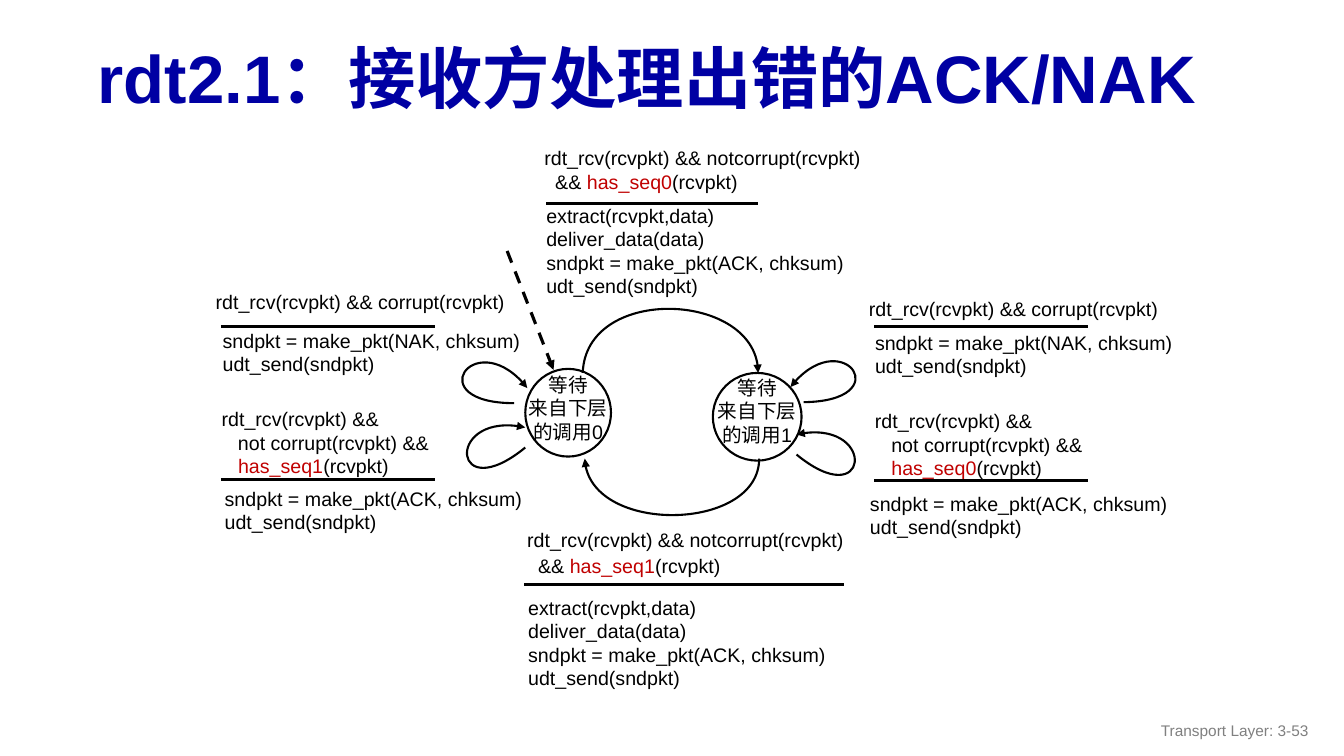
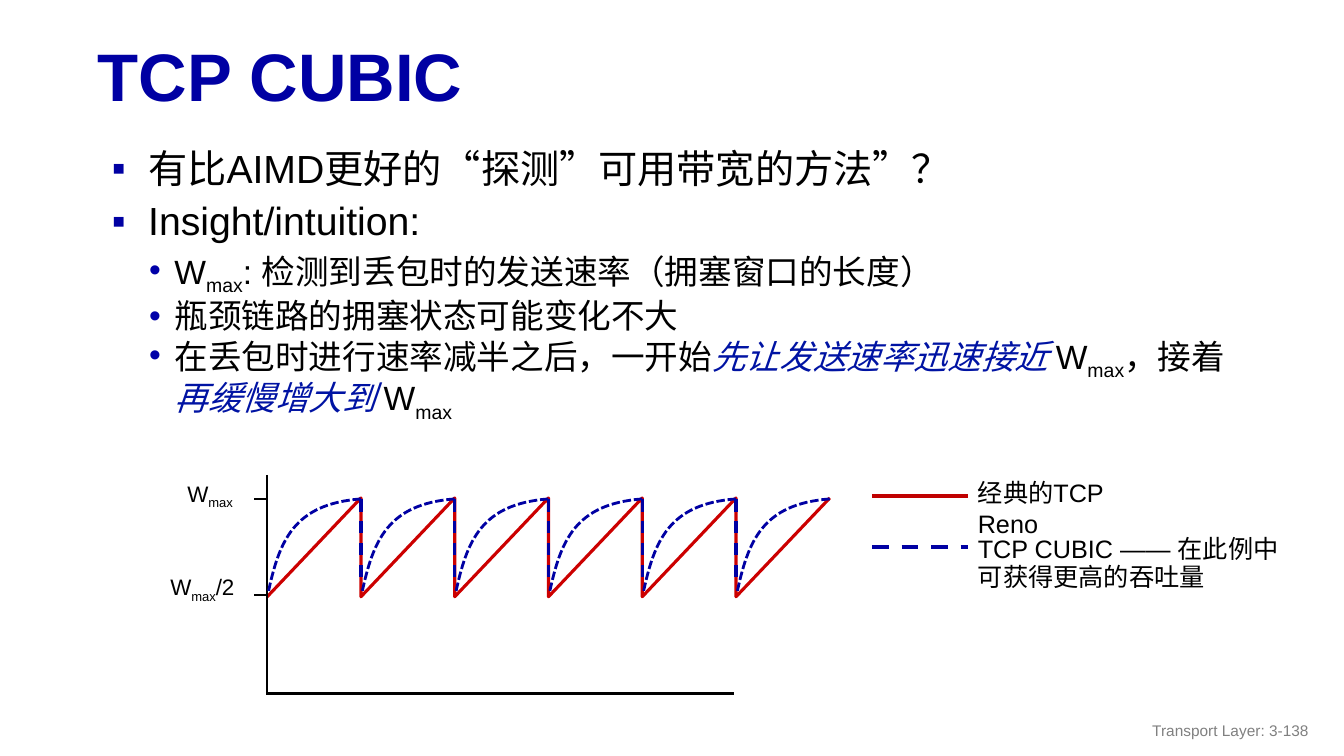
from dataclasses import dataclass
from math import cos, radians, sin
from typing import NamedTuple, Optional

from lxml.etree import SubElement
from pptx import Presentation
from pptx.dml.color import RGBColor
from pptx.enum.dml import MSO_LINE
from pptx.enum.shapes import MSO_CONNECTOR, MSO_SHAPE
from pptx.enum.text import MSO_ANCHOR, MSO_AUTO_SIZE, PP_ALIGN
from pptx.oxml.ns import qn
from pptx.util import Inches, Pt

FONT = "Arial"
BLACK, WHITE, GRAY = "000000", "FFFFFF", "808080"
NAVY, BULLET_BLUE, ACCENT_BLUE = "0000A3", "0000A8", "0013A3"
DARK_RED, CURVE_RED = "C00000", "CC0000"


class Box(NamedTuple):
    left: float
    top: float
    width: float
    height: float


class Run(NamedTuple):
    text: str
    color: str = BLACK
    italic: bool = False
    subscript: bool = False


class Bullet(NamedTuple):
    runs: list
    level: int = 0
    space_before: float = 0


class BulletStyle(NamedTuple):
    character: str
    color: str
    size: float
    margin: float
    hanging: float


@dataclass
class Transition:
    """One arc of the state machine with its event and actions."""
    event: str
    event_box: Box
    rule: tuple
    actions: str
    action_box: Box
    arc: tuple
    arc_box: Optional[Box] = None
    rotation: float = 0
    arrow: str = "tailEnd"
    line_gap: float = 0


BULLET_STYLES = (BulletStyle("▪", NAVY, 28, 0.5, 0.36), BulletStyle("•", BULLET_BLUE, 24, 0.76, 0.25))
MAXIMUM = [Run("W"), Run("max", subscript=True)]
CORRUPT = "rdt_rcv(rcvpkt) && corrupt(rcvpkt)"
ACCEPTED = "rdt_rcv(rcvpkt) && notcorrupt(rcvpkt)\n  && |has_seq{}|(rcvpkt)"
DUPLICATE = "rdt_rcv(rcvpkt) &&\n   not corrupt(rcvpkt) &&\n   |has_seq{}|(rcvpkt)"
REPLY = "sndpkt = make_pkt({}, chksum)\nudt_send(sndpkt)"
ACK, NAK = REPLY.format("ACK"), REPLY.format("NAK")
DELIVER = "extract(rcvpkt,data)\ndeliver_data(data)\n" + ACK


def rgb(color: str) -> RGBColor:
    """Turn a hex string into a colour."""
    return RGBColor.from_string(color)


def code_lines(text: str) -> list:
    """Split code into lines of runs, with the parts between bars in red."""
    return [[Run(part, DARK_RED if index % 2 else BLACK) for index, part in enumerate(line.split("|"))]
            for line in text.split("\n")]


def add_run(paragraph, text: str, *, size: float, color: str = BLACK, bold: bool = False,
            italic: bool = False, subscript: bool = False) -> None:
    """Add formatted text to a paragraph."""
    run = paragraph.add_run()
    run.text = text
    font = run.font
    font.name, font.size, font.bold, font.italic = FONT, Pt(size), bold, italic
    font.color.rgb = rgb(color)
    if subscript:
        run._r.get_or_add_rPr().set("baseline", "-25000")


def add_text(slide, box: Box, lines: list, *, size: float, align=PP_ALIGN.LEFT, wrap: bool = True,
             anchor=MSO_ANCHOR.TOP, line_spacing: float = 1.0, gap: float = 0) -> None:
    """Add a text box with one paragraph for each list of runs."""
    frame = slide.shapes.add_textbox(*map(Inches, box)).text_frame
    frame.word_wrap, frame.vertical_anchor = wrap, anchor
    for index, runs in enumerate(lines):
        paragraph = frame.add_paragraph() if index else frame.paragraphs[0]
        paragraph.alignment, paragraph.line_spacing = align, line_spacing
        paragraph.space_before = Pt(gap if index else 0)
        for run in runs:
            add_run(paragraph, size=size, **run._asdict())


def style_line(shape, color: str, width: float, dash=None, arrow: str = "") -> None:
    """Set colour, width, dash and arrowhead of a line."""
    shape.line.color.rgb, shape.line.width = rgb(color), Pt(width)
    if dash is not None:
        shape.line.dash_style = dash
    if arrow:
        SubElement(shape.line._get_or_add_ln(), qn(f"a:{arrow}"), type="triangle")


def add_line(slide, start: tuple, end: tuple, color: str = BLACK, width: float = 1.5,
             dash=None, arrow: str = "") -> None:
    """Add a straight connector without shadow."""
    connector = slide.shapes.add_connector(MSO_CONNECTOR.STRAIGHT, *map(Inches, (*start, *end)))
    style_line(connector, color, width, dash, arrow)
    SubElement(connector._element.spPr, qn("a:effectLst"))


def add_outline(slide, points: list, color: str, width: float, dash=None, arrow: str = ""):
    """Add an open outline through the points."""
    corners = [(Inches(x), Inches(y)) for x, y in points]
    builder = slide.shapes.build_freeform(*corners[0])
    builder.add_line_segments(corners[1:], close=False)
    shape = builder.convert_to_shape()
    shape.shadow.inherit = False
    shape.fill.background()
    style_line(shape, color, width, dash, arrow)
    return shape


def add_curve(slide, controls: tuple, color: str = BLACK, width: float = 1.5, dash=None,
              arrow: str = "", box: Optional[Box] = None, rotation: float = 0) -> None:
    """Add a cubic Bezier curve whose frame may be rotated."""
    if box is None:
        left, top = map(min, zip(*controls))
        right, bottom = map(max, zip(*controls))
        box = Box(left, top, right - left, bottom - top)
    diagonal = [box[:2], (box.left + box.width, box.top + box.height)]
    shape = add_outline(slide, diagonal, color, width, dash, arrow)
    shape.rotation = rotation
    outline = next(shape._element.iter(qn("a:path")))
    for child in list(outline):
        outline.remove(child)
    move, curve = SubElement(outline, qn("a:moveTo")), SubElement(outline, qn("a:cubicBezTo"))
    cosine, sine = cos(radians(rotation)), sin(radians(rotation))
    for index, (x, y) in enumerate(controls):
        across, down = x - box.left - box.width / 2, y - box.top - box.height / 2
        local_x = across * cosine + down * sine + box.width / 2
        local_y = down * cosine - across * sine + box.height / 2
        SubElement(curve if index else move, qn("a:pt"), x=str(Inches(local_x)), y=str(Inches(local_y)))


def add_slide(presentation, layout: int, title: str, title_box: Box, number: str):
    """Add a slide with its title and footer."""
    slide = presentation.slides.add_slide(presentation.slide_layouts[layout])
    shape = slide.shapes.title
    shape.left, shape.top, shape.width, shape.height = map(Inches, title_box)
    frame = shape.text_frame
    frame.auto_size, frame.vertical_anchor = MSO_AUTO_SIZE.NONE, MSO_ANCHOR.MIDDLE
    paragraph = frame.paragraphs[0]
    paragraph.alignment, paragraph.line_spacing = PP_ALIGN.LEFT, 0.9
    add_run(paragraph, title, size=48, color=NAVY, bold=True)
    add_text(slide, Box(10.08, 7.05, 3, 0.4), [[Run(f"Transport Layer: {number}", GRAY)]],
             size=11, align=PP_ALIGN.RIGHT, anchor=MSO_ANCHOR.MIDDLE)
    return slide


def fill_body(shape, box: Box, bullets: list) -> None:
    """Fill the body placeholder with a bulleted list."""
    shape.left, shape.top, shape.width, shape.height = map(Inches, box)
    frame = shape.text_frame
    frame.auto_size = MSO_AUTO_SIZE.NONE
    for index, bullet in enumerate(bullets):
        style = BULLET_STYLES[bullet.level]
        paragraph = frame.add_paragraph() if index else frame.paragraphs[0]
        paragraph.level = bullet.level
        properties = paragraph._p.get_or_add_pPr()
        properties.set("marL", str(Inches(style.margin)))
        properties.set("indent", str(-Inches(style.hanging)))
        SubElement(SubElement(properties, qn("a:buClr")), qn("a:srgbClr"), val=style.color)
        SubElement(properties, qn("a:buFont"), typeface=FONT)
        SubElement(properties, qn("a:buChar"), char=style.character)
        paragraph.line_spacing, paragraph.space_before = 0.9, Pt(bullet.space_before)
        for run in bullet.runs:
            add_run(paragraph, size=style.size, **run._asdict())


def add_transition(slide, item: Transition) -> None:
    """Draw the event, rule, actions and arc of a transition."""
    left, right, y = item.rule
    add_curve(slide, item.arc, arrow=item.arrow, box=item.arc_box, rotation=item.rotation)
    add_text(slide, item.event_box, code_lines(item.event), size=14, gap=item.line_gap)
    add_line(slide, (left, y), (right, y), width=2.25)
    add_text(slide, item.action_box, code_lines(item.actions), size=14)


def build_receiver(presentation) -> None:
    """Build the receiver state machine slide."""
    slide = add_slide(presentation, 5, "rdt2.1：接收方处理出错的ACK/NAK", Box(0.87, 0.32, 12.14, 0.98), "3-53")
    states = ((Box(5.21, 3.66, 0.85, 0.87), Box(5.13, 3.65, 1.01, 0.67)),
              (Box(7.07, 3.7, 0.88, 0.87), Box(6.99, 3.68, 1.04, 0.67)))
    transitions = (
        Transition(ACCEPTED.format(1), Box(5.13, 5.19, 3.92, 0.62), (5.2, 8.37, 5.8),
                   DELIVER, Box(5.14, 5.86, 4.21, 1.09),
                   ((5.8, 4.55), (5.83, 5.31), (7.53, 5.26), (7.53, 4.55)), arrow="headEnd", line_gap=1.5),
        Transition(ACCEPTED.format(0), Box(5.3, 1.4, 4.35, 0.62), (5.42, 7.52, 2.02),
                   DELIVER, Box(5.32, 1.97, 3.8, 0.77),
                   ((5.78, 3.7), (5.81, 2.84), (7.52, 2.89), (7.52, 3.7))),
        Transition(CORRUPT, Box(8.52, 2.9, 3.31, 0.67), (8.67, 10.79, 3.24),
                   NAK, Box(8.58, 3.23, 3.31, 0.45),
                   ((7.97, 3.99), (8.9, 3.98), (8.35, 3.19), (7.84, 3.84)),
                   Box(7.83, 3.25, 0.92, 0.94), 337.3),
        Transition(DUPLICATE.format(0), Box(8.58, 4.01, 2.87, 0.67), (8.67, 10.79, 4.77),
                   ACK, Box(8.53, 4.83, 3.22, 0.45),
                   ((7.9, 4.51), (8.62, 5.1), (8.7, 4.14), (7.9, 4.31)),
                   Box(7.86, 4.04, 0.92, 0.94), 17),
        Transition(DUPLICATE.format(1), Box(2.1, 3.99, 2.87, 0.67), (2.19, 4.31, 4.76),
                   ACK, Box(2.13, 4.78, 3.22, 0.45),
                   ((5.21, 4.44), (4.49, 5.03), (4.41, 4.07), (5.21, 4.24)),
                   Box(4.33, 3.97, 0.92, 0.94), 343),
        Transition(CORRUPT, Box(2.04, 2.83, 3.31, 0.67), (2.19, 4.31, 3.24),
                   NAK, Box(2.11, 3.21, 3.31, 0.45),
                   ((5.1, 4), (4.17, 4), (4.72, 3.2), (5.23, 3.85)),
                   Box(4.32, 3.27, 0.92, 0.94), 22.7),
    )
    for number, (circle_box, label_box) in enumerate(states):
        circle = slide.shapes.add_shape(MSO_SHAPE.OVAL, *map(Inches, circle_box))
        circle.shadow.inherit = False
        circle.fill.solid()
        circle.fill.fore_color.rgb = rgb(WHITE)
        style_line(circle, BLACK, 1.5)
        add_text(slide, label_box, code_lines(f"等待\n来自下层的调用{number}"), size=14, align=PP_ALIGN.CENTER)
    add_line(slide, (5.03, 2.49), (5.49, 3.67), width=2.25, dash=MSO_LINE.DASH, arrow="tailEnd")
    for transition in transitions:
        add_transition(slide, transition)


def add_window_plot(slide) -> None:
    """Draw the window size of both algorithms over time."""
    left, step, cycles, peak, half = 2.65, 0.93, 6, 4.94, 5.92
    starts = [left + step * cycle for cycle in range(cycles)]
    sawtooth = [point for x in starts for point in ((x, half), (x + step, peak))]
    add_outline(slide, sawtooth, CURVE_RED, 2.25)
    add_line(slide, (2.64, 6.88), (7.28, 6.88))
    add_line(slide, (left, 4.71), (left, 6.89))
    for y, label_box, suffix in ((4.95, Box(1.76, 4.71, 0.68, 0.37), []),
                                 (5.9, Box(1.59, 5.64, 0.89, 0.37), [Run("/2")])):
        add_line(slide, (2.52, y), (2.64, y))
        add_text(slide, label_box, [MAXIMUM + suffix], size=16, wrap=False)
    for x in starts:
        right = x + step
        controls = ((right, 4.95), (right - 0.67, 5), (right - 0.81, 5.37), (x + 0.01, 5.88))
        add_curve(slide, controls, NAVY, 2, MSO_LINE.SQUARE_DOT)
        if x != starts[-1]:
            add_line(slide, (right, 4.95), (right, 5.82), NAVY, 2.25, MSO_LINE.DASH)


def build_cubic(presentation) -> None:
    """Build the slide on the cubic window growth."""
    slide = add_slide(presentation, 1, "TCP CUBIC", Box(0.87, 0.3, 12.46, 0.98), "3-138")
    fill_body(slide.placeholders[1], Box(0.87, 1.43, 11.67, 3), [
        Bullet([Run("有比AIMD更好的“探测”可用带宽的方法”？")]),
        Bullet([Run("Insight/intuition:")], space_before=7.4),
        Bullet([*MAXIMUM, Run(": 检测到丢包时的发送速率（拥塞窗口的长度）")], 1, 5),
        Bullet([Run("瓶颈链路的拥塞状态可能变化不大")], 1, 5),
        Bullet([Run("在丢包时进行速率减半之后，一开始"), Run("先让发送速率迅速接近 ", ACCENT_BLUE, True),
                *MAXIMUM, Run("，接着"), Run("再缓慢增大到 ", ACCENT_BLUE, True), *MAXIMUM], 1, 0.5),
    ])
    add_window_plot(slide)
    for y, color, dash, label, box, spacing in (
            (4.92, DARK_RED, None, "经典的TCP Reno", Box(9.6, 4.69, 1.8, 0.4), 1.0),
            (5.43, NAVY, MSO_LINE.DASH, "TCP CUBIC —— 在此例中可获得更高的吞吐量",
             Box(9.6, 5.28, 3.38, 0.65), 0.9)):
        add_line(slide, (8.65, y), (9.6, y), color, 3, dash)
        add_text(slide, box, [[Run(label)]], size=18, line_spacing=spacing)


def main() -> None:
    """Build and save the presentation."""
    presentation = Presentation()
    presentation.slide_width, presentation.slide_height = Inches(13.33), Inches(7.5)
    build_receiver(presentation)
    build_cubic(presentation)
    presentation.save("out.pptx")


if __name__ == "__main__":
    main()
